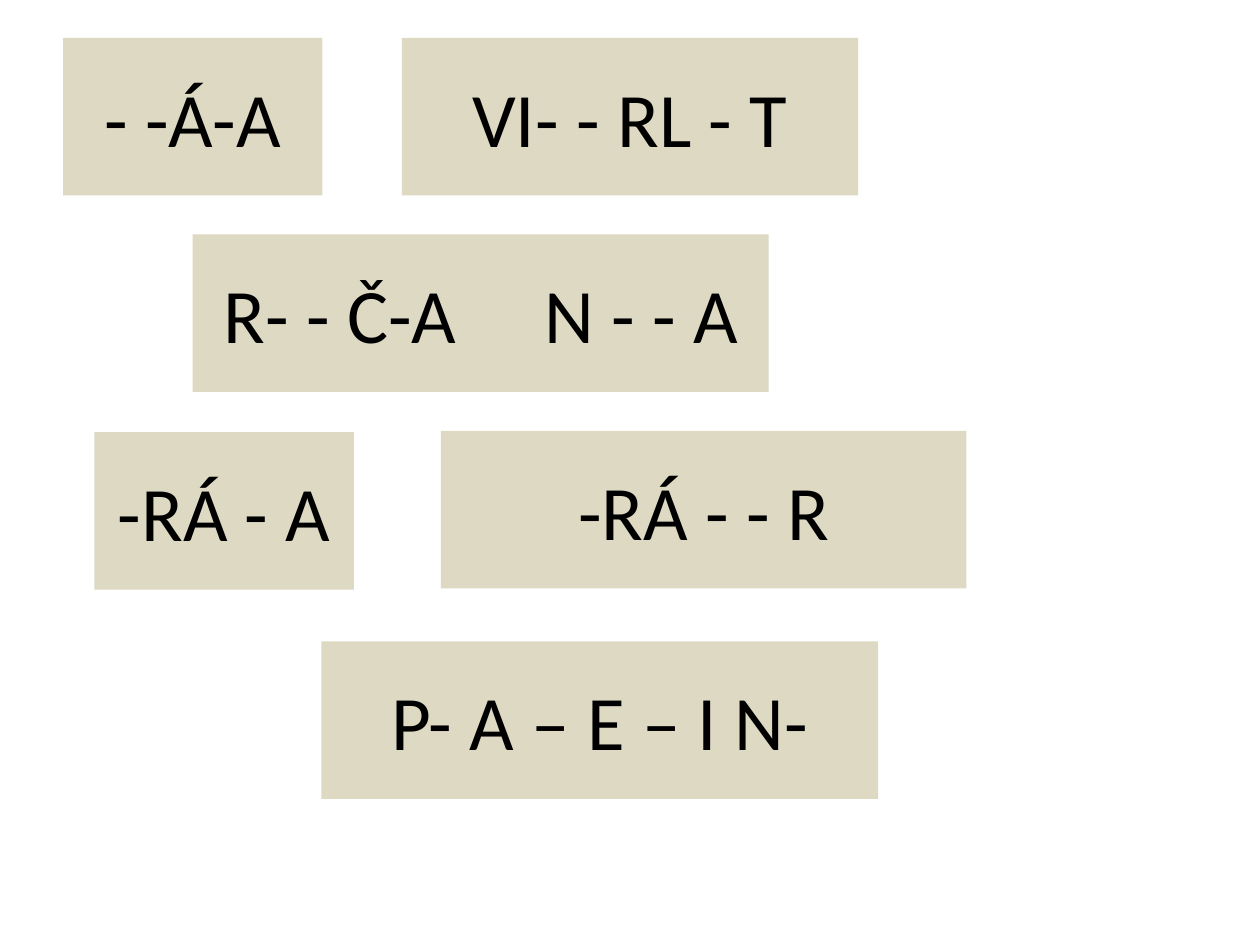
from typing import NamedTuple

from pptx import Presentation
from pptx.dml.color import RGBColor
from pptx.enum.shapes import MSO_SHAPE
from pptx.enum.text import MSO_ANCHOR, MSO_AUTO_SIZE, PP_ALIGN
from pptx.util import Inches, Pt

CARD_HEIGHT = 1.25
CARD_FILL = "DDD9C3"
TEXT_COLOR = "000000"
WORD_GAP = 40  # extra points between two words on one card
FRAME_FORMAT = {
    "word_wrap": True,
    "auto_size": MSO_AUTO_SIZE.NONE,
    "vertical_anchor": MSO_ANCHOR.MIDDLE,
}
FONT_FORMAT = {"name": "Calibri", "size": Pt(44), "bold": False}


class Card(NamedTuple):
    left: float
    top: float
    width: float
    words: tuple[str, ...]


TITLE_CARD = Card(0.5, 0.3, 2.06, ("- -Á-A",))
CARDS = [
    Card(3.19, 0.3, 3.62, ("VI- - RL - T",)),
    Card(1.53, 1.86, 4.57, ("R- - Č-A", "N - - A")),
    Card(0.75, 3.43, 2.06, ("-RÁ - A",)),
    Card(3.5, 3.42, 4.17, ("-RÁ - - R",)),
    Card(2.55, 5.09, 4.42, ("P- A – E – I N-",)),
]


def color(value: str) -> RGBColor:
    return RGBColor.from_string(value)


def add_run(p, text: str):
    r = p.add_run()
    r.text = text
    for name, value in FONT_FORMAT.items():
        setattr(r.font, name, value)
    r.font.color.rgb = color(TEXT_COLOR)
    return r


def format_card(sp, card: Card) -> None:
    """Place and fill the shape, and write its words with a wide gap between them."""
    sp.left, sp.top = Inches(card.left), Inches(card.top)
    sp.width, sp.height = Inches(card.width), Inches(CARD_HEIGHT)
    sp.fill.solid()
    sp.fill.fore_color.rgb = color(CARD_FILL)
    sp.line.fill.background()

    tf = sp.text_frame
    for name, value in FRAME_FORMAT.items():
        setattr(tf, name, value)
    p = tf.paragraphs[0]
    p.alignment = PP_ALIGN.CENTER
    for i, word in enumerate(card.words):
        if i:
            gap = add_run(p, " ")
            gap.font._element.set("spc", str(WORD_GAP * 100))
        add_run(p, word)


def add_card(s, card: Card) -> None:
    sp = s.shapes.add_shape(MSO_SHAPE.RECTANGLE, 0, 0, 0, 0)
    sp.shadow.inherit = False
    format_card(sp, card)


def main() -> None:
    prs = Presentation()
    prs.slide_width, prs.slide_height = Inches(10), Inches(7.5)
    s = prs.slides.add_slide(prs.slide_layouts[5])
    format_card(s.shapes.title, TITLE_CARD)
    for card in CARDS:
        add_card(s, card)
    prs.save("out.pptx")


if __name__ == "__main__":
    main()
